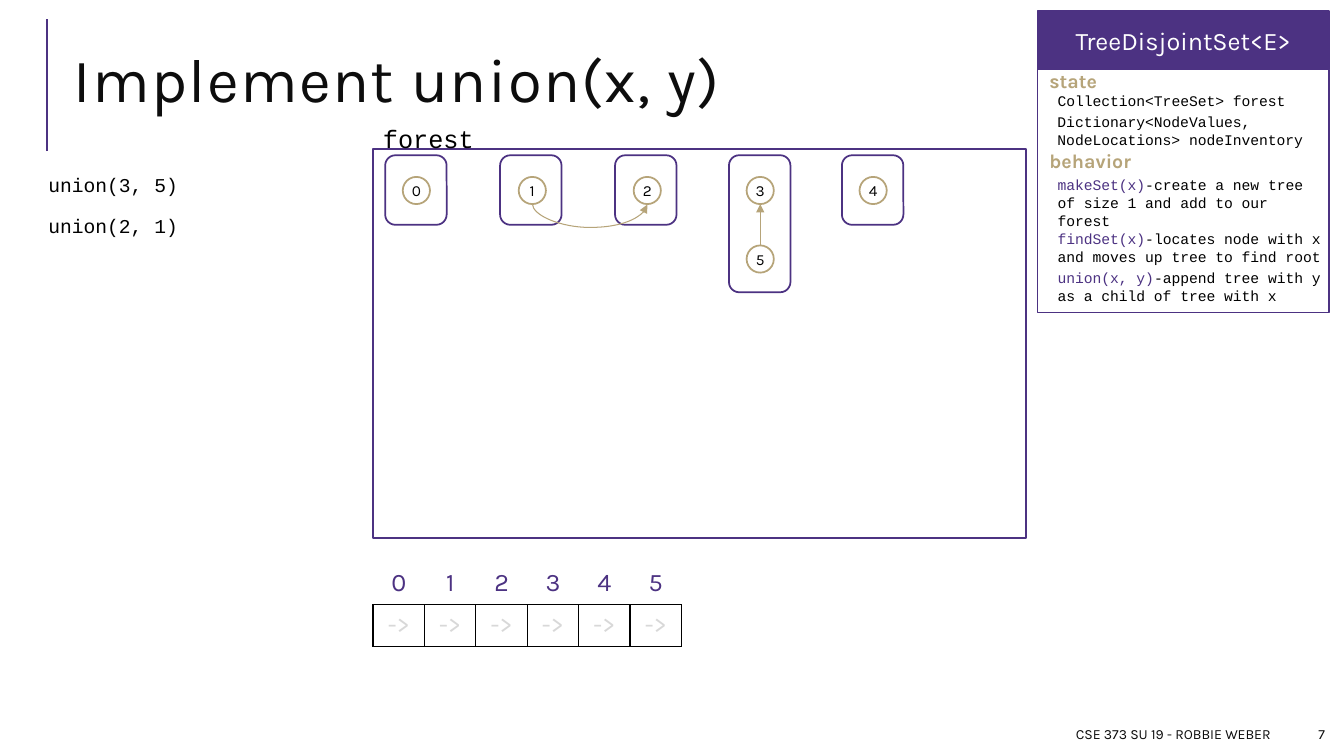
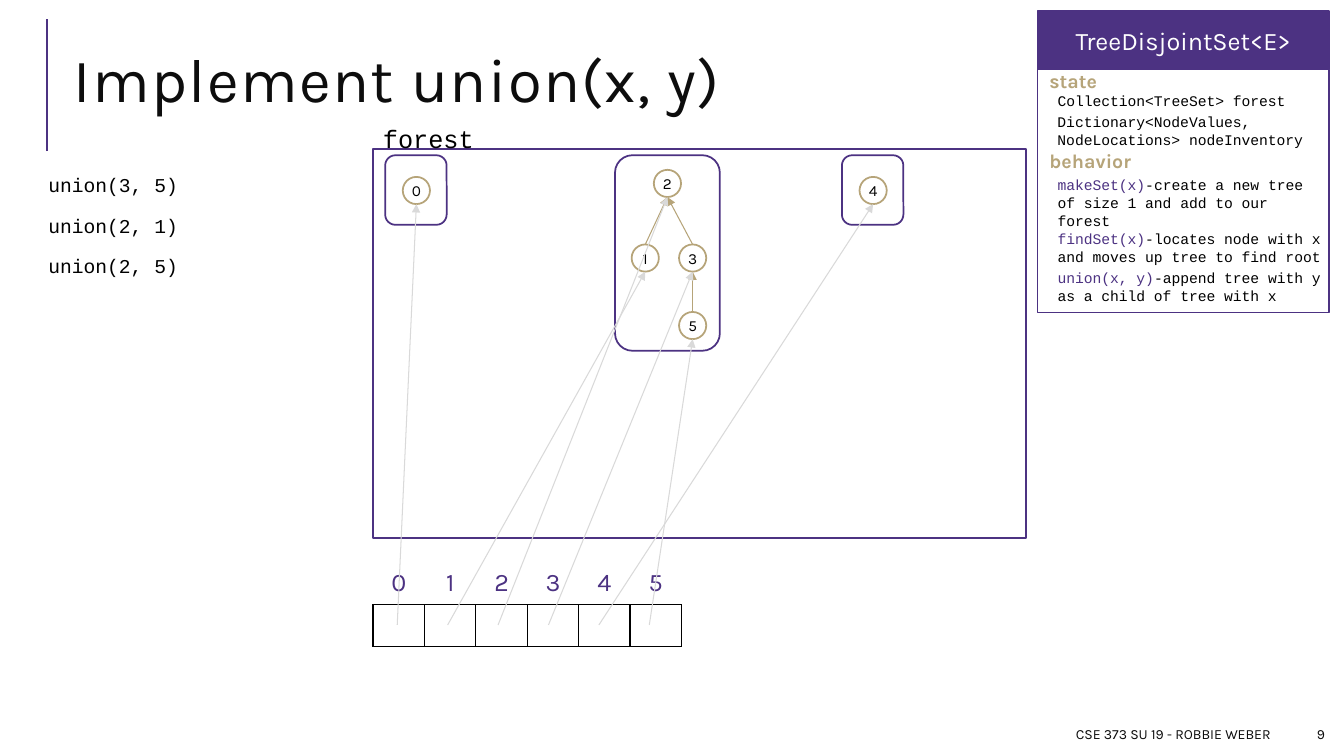
from lxml import etree
from pptx import Presentation
from pptx.dml.color import RGBColor
from pptx.enum.shapes import MSO_CONNECTOR, MSO_SHAPE
from pptx.enum.text import MSO_ANCHOR, PP_ALIGN
from pptx.oxml.ns import qn
from pptx.util import Inches, Pt

STRAIGHT, CURVE = MSO_CONNECTOR.STRAIGHT, MSO_CONNECTOR.CURVE
RECT, ROUND, OVAL = MSO_SHAPE.RECTANGLE, MSO_SHAPE.ROUNDED_RECTANGLE, MSO_SHAPE.OVAL
LEFT, CENTER, RIGHT = PP_ALIGN.LEFT, PP_ALIGN.CENTER, PP_ALIGN.RIGHT
TOP, MIDDLE = MSO_ANCHOR.TOP, MSO_ANCHOR.MIDDLE

COLORS = {
    "purple": "4C3282", "gold": "B6A479", "ink": "0D0D0D", "black": "000000",
    "white": "FFFFFF", "pale": "D8D8D8", "gray": "D9D9D9",
}
SANS, MONO = "Karla", "Courier New"
RADIUS = 0.135
PANEL_LEFT, PANEL_WIDTH = 10.29, 2.89
STATE = [
    (0.86, 2.58, "Collection<TreeSet> forest"),
    (1.07, 2.66, "Dictionary<NodeValues, NodeLocations> nodeInventory"),
]
BEHAVIOR = [
    (1.70, 2.79, "makeSet(x)", "-create a new tree of size 1 and add to our forest"),
    (2.23, 3.05, "findSet(x)", "-locates node with x and moves up tree to find root"),
    (2.62, 2.95, "union(x, y)", "-append tree with y as a child of tree with x"),
]


def rgb(name):
    return RGBColor.from_string(COLORS[name])


def write(frame, paragraphs, font=SANS, size=18, color="black", bold=False, align=LEFT,
          anchor=TOP, wrap=True, insets=(0.1, 0.05, 0.1, 0.05), leading=None,
          before=0, after=0, tracking=None):
    """Fill a text frame; each paragraph is a string or a list of (text, color) spans."""
    frame.word_wrap = wrap
    frame.vertical_anchor = anchor
    (frame.margin_left, frame.margin_top,
     frame.margin_right, frame.margin_bottom) = map(Inches, insets)
    for index, spans in enumerate(paragraphs):
        para = frame.add_paragraph() if index else frame.paragraphs[0]
        para.alignment = align
        para.space_before, para.space_after = Pt(before), Pt(after)
        if leading:
            para.line_spacing = leading
        for text, shade in [(spans, color)] if isinstance(spans, str) else spans:
            span = para.add_run()
            span.text = text
            span.font.name, span.font.size, span.font.bold = font, Pt(size), bold
            span.font.color.rgb = rgb(shade)
            if tracking:
                span._r.get_or_add_rPr().set("spc", str(tracking))


def set_borders(cell, **sides):
    """Draw 1 pt cell borders; sides maps L, R, T and B to colour names."""
    props = cell._tc.get_or_add_tcPr()
    for index, side in enumerate("LRTB"):
        line = etree.Element(qn(f"a:ln{side}"), w=str(Pt(1)))
        fill = etree.SubElement(line, qn("a:solidFill"))
        etree.SubElement(fill, qn("a:srgbClr"), val=COLORS[sides[side]])
        props.insert(index, line)


class Deck:
    def __init__(self):
        self.file = Presentation()
        self.file.slide_width, self.file.slide_height = Inches(13.33), Inches(7.5)
        self.page = None

    def text(self, left, top, width, height, *paragraphs, **style):
        box = self.page.shapes.add_textbox(*map(Inches, (left, top, width, height)))
        write(box.text_frame, paragraphs, **style)

    def shape(self, kind, left, top, width, height, line="purple", fill=None):
        shape = self.page.shapes.add_shape(kind, *map(Inches, (left, top, width, height)))
        shape.shadow.inherit = False
        shape.line.color.rgb, shape.line.width = rgb(line), Pt(1.25)
        if fill:
            shape.fill.solid()
            shape.fill.fore_color.rgb = rgb(fill)
        else:
            shape.fill.background()
        return shape

    def line(self, start, end, color="gold", width=0.75, arrow=True, kind=STRAIGHT):
        line = self.page.shapes.add_connector(kind, *map(Inches, (*start, *end)))
        line.line.color.rgb, line.line.width = rgb(color), Pt(width)
        if arrow:
            etree.SubElement(line.line._get_or_add_ln(), qn("a:tailEnd"), type="triangle")
        etree.SubElement(line._element.spPr, qn("a:effectLst"))
        return line

    def sagging_arrow(self, start, end, sag):
        """Curve that hangs below two level points."""
        middle, y = (start[0] + end[0]) / 2, start[1]
        half, thin = (end[0] - start[0]) / 2, 0.01
        curve = self.line((middle + thin / 2, y - half), (middle - thin / 2, y + half),
                          kind=CURVE)
        props = curve._element.spPr
        props.find(qn("a:xfrm")).set("rot", str(270 * 60000))
        guides = props.find(qn("a:prstGeom")).get_or_add_avLst()
        etree.SubElement(guides, qn("a:gd"), name="adj1",
                         fmla=f"val {round(sag / thin * 100000)}")

    def start_page(self, title, number):
        self.page = self.file.slides.add_slide(self.file.slide_layouts[6])
        self.line((0.47, 1.5), (0.47, 0.19), "purple", 1.5, arrow=False)
        self.text(0.63, 0.29, 12.23, 1.11, title, size=44, color="ink", anchor=MIDDLE,
                  leading=0.8, tracking=100)
        footer = dict(size=10, color="ink", align=RIGHT, anchor=MIDDLE)
        self.text(6.25, 7.13, 6.45, 0.3, "CSE 373 SU 19 - ROBBIE WEBER", **footer)
        self.text(12.78, 7.13, 0.46, 0.3, str(number), **footer)

    def class_panel(self):
        self.shape(RECT, PANEL_LEFT, 0.69, PANEL_WIDTH, 2.41)
        header = self.shape(RECT, PANEL_LEFT, 0.11, PANEL_WIDTH, 0.58, fill="purple")
        write(header.text_frame, ["TreeDisjointSet<E>"], color="white", align=CENTER,
              anchor=MIDDLE)
        for top, heading in [(0.63, "state"), (1.43, "behavior")]:
            self.text(PANEL_LEFT + 0.02, top, 2.23, 0.34, heading, size=14, color="gold",
                      bold=True)
        for top, width, field in STATE:
            self.text(PANEL_LEFT + 0.1, top, width, 0.45, field, font=MONO, size=10.5)
        for top, width, method, effect in BEHAVIOR:
            self.text(PANEL_LEFT + 0.1, top, width, 0.47,
                      [(method, "purple"), (effect, "black")], font=MONO, size=10.5)

    def node(self, label, x, y):
        oval = self.shape(OVAL, x - RADIUS, y - RADIUS, 2 * RADIUS, 2 * RADIUS,
                          line="gold", fill="white")
        write(oval.text_frame, [str(label)], size=11, align=CENTER, anchor=MIDDLE,
              wrap=False, insets=(0, 0, 0, 0))

    def forest(self, nodes, trees):
        """Nodes map a label to its centre; trees are (left, width, height)."""
        self.shape(RECT, 3.7, 1.48, 6.48, 3.86)
        self.text(3.7, 1.17, 1.11, 0.4, "forest", font=MONO, wrap=False)
        for label, center in nodes.items():
            self.node(label, *center)
        for left, width, height in trees:
            self.shape(ROUND, left, 1.54, width, height)

    def inventory(self, entry):
        """Row of indexes over a row of cells that all hold the same entry."""
        table = self.page.shapes.add_table(
            2, 6, *map(Inches, (3.7, 5.59, 3.06, 0.82))).table
        table.first_row = table.horz_banding = False
        for index in range(6):
            head, body = table.cell(0, index), table.cell(1, index)
            for cell, text, color in [(head, str(index), "purple"), (body, entry, "pale")]:
                cell.fill.background()
                if text:
                    write(cell.text_frame, [text], color=color, align=CENTER)
            set_borders(head, L="white", R="white", T="white", B="black")
            set_borders(body, **dict.fromkeys("LRTB", "black"))

    def parent_arrow(self, nodes, child, parent):
        (x, y), (parent_x, parent_y) = nodes[child], nodes[parent]
        self.line((x, y - RADIUS), (parent_x, parent_y + RADIUS))

    def union_page(self, number, calls, nodes, trees, entry=""):
        self.start_page("Implement union(x, y)", number)
        self.text(0.33, 1.69, 2.27, 3.5, *calls, font=MONO, size=14, leading=0.9,
                  before=12, after=2, insets=(0.15, 0.05, 0.05, 0.05))
        self.forest(nodes, trees)
        self.inventory(entry)
        self.class_panel()


def main():
    deck = Deck()
    calls = ["union(3, 5)", "union(2, 1)", "union(2, 5)"]
    single = (0.61, 0.69)

    nodes = {0: (4.13, 1.89), 1: (5.28, 1.89), 2: (6.42, 1.89), 3: (7.54, 1.89),
             4: (8.66, 1.89), 5: (7.54, 2.57)}
    trees = [(left, *single) for left in (3.82, 4.96, 6.1, 8.35)] + [(7.23, 0.61, 1.36)]
    deck.union_page(7, calls[:2], nodes, trees, entry="->")
    deck.parent_arrow(nodes, 5, 3)
    below = [(x, y + RADIUS) for x, y in (nodes[1], nodes[2])]
    deck.sagging_arrow(*below, sag=0.24)

    nodes = {0: (4.13, 1.89), 1: (6.4, 2.56), 2: (6.62, 1.82), 3: (6.87, 2.56),
             4: (8.66, 1.89), 5: (6.87, 3.23)}
    trees = [(3.82, *single), (6.1, 1.04, 1.94), (8.35, *single)]
    deck.union_page(9, calls, nodes, trees)
    for child, parent in [(5, 3), (1, 2), (3, 2)]:
        deck.parent_arrow(nodes, child, parent)
    for index, (x, y) in nodes.items():
        deck.line((3.94 + 0.5 * index, 6.2), (x, y + RADIUS), "gray")

    deck.file.save("out.pptx")


if __name__ == "__main__":
    main()
